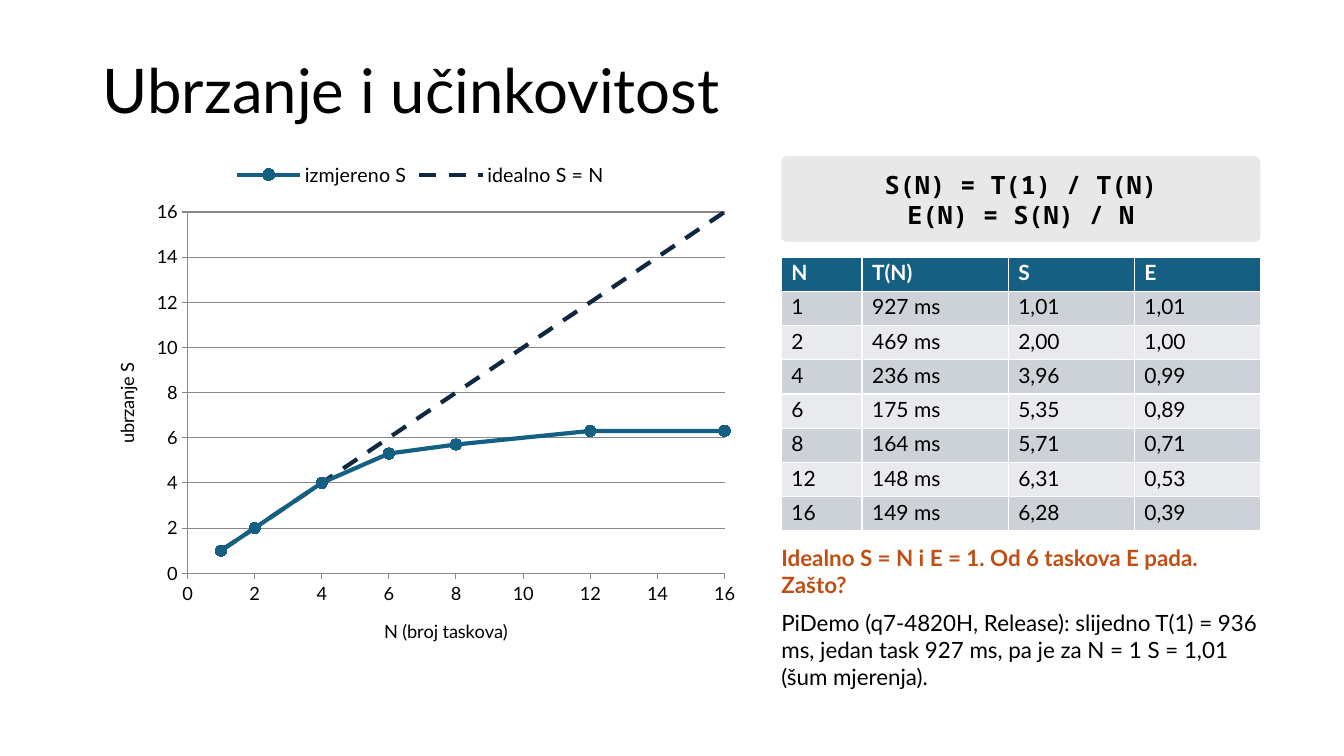
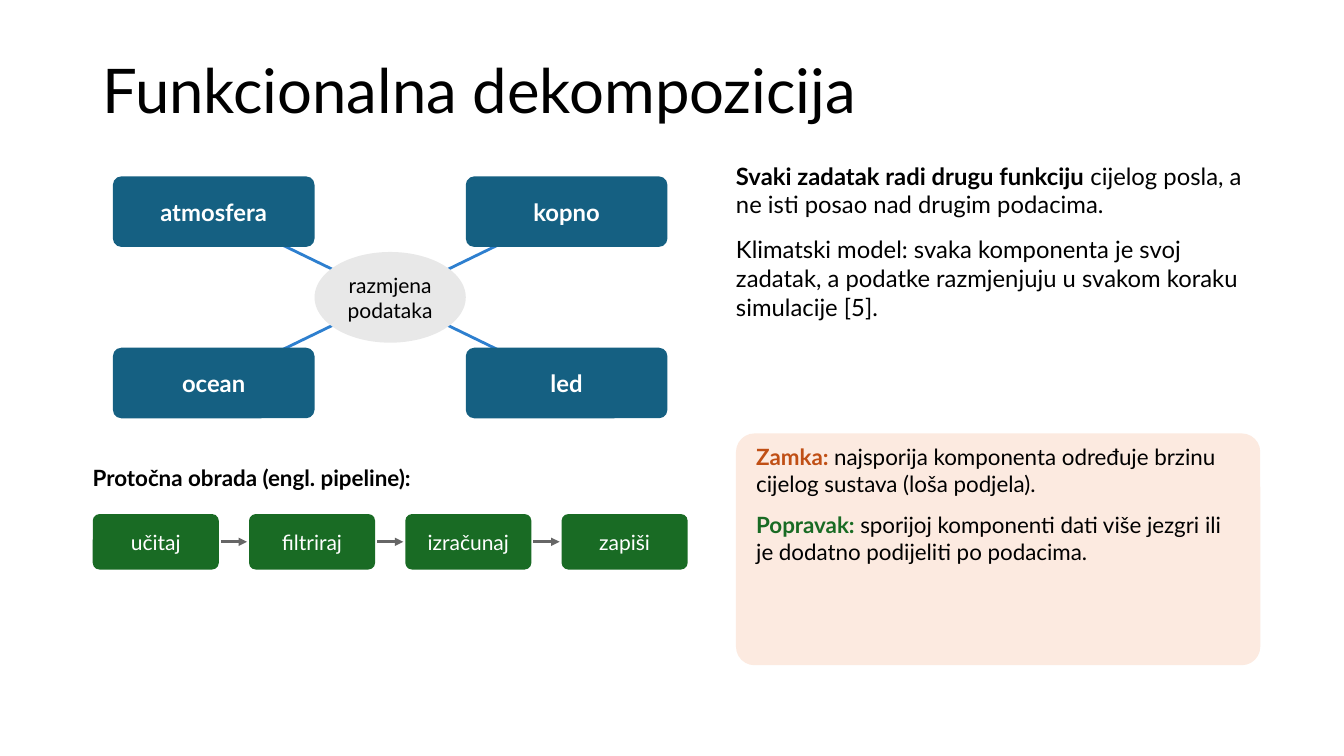
from lxml import etree
from pptx import Presentation
from pptx import util as u
from pptx.chart.data import XyChartData
from pptx.dml.color import RGBColor
from pptx.enum import chart as ch, dml, shapes, text
from pptx.oxml.ns import qn

SANS, MONO = "Lato", "Noto Sans Mono"
BLACK, WHITE, GREY = "000000", "FFFFFF", "E8E8E8"
TEAL, NAVY, GREEN, RUST = "156082", "0E2841", "196B24", "C04F15"
BLUE, PEACH, ARROW, GRID = "2D7FCF", "FCEAE0", "666666", "878787"
BANDS = ("CCD2D8", "E8EAED")
ROUND = shapes.MSO_SHAPE.ROUNDED_RECTANGLE
OVAL = shapes.MSO_SHAPE.OVAL

TITLES = ("Ubrzanje i učinkovitost", "Funkcionalna dekompozicija")

SPEED = [(1, 1), (2, 2), (4, 4), (6, 5.3), (8, 5.7), (12, 6.3), (16, 6.3)]
IDEAL = [(1, 1), (16, 16)]
SERIES = [("izmjereno S", SPEED, TEAL), ("idealno S = N", IDEAL, NAVY)]
AXES = ("N (broj taskova)", "ubrzanje S")
RULES = ["S(N) = T(1) / T(N)", "E(N) = S(N) / N"]
WIDTHS = (0.8, 1.45, 1.25, 1.25)
ROWS = [
    ("N", "T(N)", "S", "E"),
    ("1", "927 ms", "1,01", "1,01"),
    ("2", "469 ms", "2,00", "1,00"),
    ("4", "236 ms", "3,96", "0,99"),
    ("6", "175 ms", "5,35", "0,89"),
    ("8", "164 ms", "5,71", "0,71"),
    ("12", "148 ms", "6,31", "0,53"),
    ("16", "149 ms", "6,28", "0,39"),
]
NOTES = [
    [("Idealno S = N i E = 1. Od 6 taskova E pada. Zašto?", RUST, True)],
    "PiDemo (q7-4820H, Release): slijedno T(1) = 936 ms, jedan task 927 ms, "
    "pa je za N = 1 S = 1,01 (šum mjerenja).",
]

PARTS = [["atmosfera", "kopno"], ["ocean", "led"]]
HUB = "razmjena podataka"
FLOW = "Protočna obrada (engl. pipeline):"
STEPS = ["učitaj", "filtriraj", "izračunaj", "zapiši"]
IDEAS = [
    [("Svaki zadatak radi drugu funkciju", BLACK, True),
     (" cijelog posla, a ne isti posao nad drugim podacima.", BLACK, False)],
    "Klimatski model: svaka komponenta je svoj zadatak, a podatke "
    "razmjenjuju u svakom koraku simulacije [5].",
]
TRAPS = [
    [("Zamka: ", RUST, True),
     ("najsporija komponenta određuje brzinu cijelog sustava (loša podjela).",
      BLACK, False)],
    [("Popravak: ", GREEN, True),
     ("sporijoj komponenti dati više jezgri ili je dodatno podijeliti po "
      "podacima.", BLACK, False)],
]


def rgb(code):
    return RGBColor.from_string(code)


def box(*sides):
    return [u.Inches(side) for side in sides]


def style(font, size, color=BLACK, bold=False, name=SANS):
    font.name, font.size, font.bold = name, u.Pt(size), bold
    font.color.rgb = rgb(color)


def paint(shape, color):
    shape.fill.solid()
    shape.fill.fore_color.rgb = rgb(color)


def write(frame, paras, size, color=BLACK, bold=False, name=SANS,
          pad=(0, 0), after=0, align=None):
    frame.word_wrap = True
    frame.margin_left = frame.margin_right = u.Inches(pad[0])
    frame.margin_top = frame.margin_bottom = u.Inches(pad[1])
    for i, para in enumerate(paras):
        p = frame.add_paragraph() if i else frame.paragraphs[0]
        p.alignment, p.space_after = align, u.Pt(after)
        style(p.font, size, color, bold, name)
        if isinstance(para, str):
            p.add_run().text = para
            continue
        for words, tint, heavy in para:
            run = p.add_run()
            run.text = words
            run.font.bold = heavy
            run.font.color.rgb = rgb(tint)


def label(slide, at, paras, size, **look):
    frame = slide.shapes.add_textbox(*box(*at)).text_frame
    write(frame, paras, size, **look)
    return frame


def block(slide, at, back, paras=(), size=15, kind=ROUND, bend=0.12,
          pad=(0.05, 0.02), **look):
    shape = slide.shapes.add_shape(kind, *box(*at))
    shape.shadow.inherit = False
    paint(shape, back)
    shape.line.fill.background()
    if kind == ROUND:
        shape.adjustments[0] = bend
    if paras:
        shape.text_frame.vertical_anchor = text.MSO_ANCHOR.MIDDLE
        write(shape.text_frame, paras, size, pad=pad,
              align=text.PP_ALIGN.CENTER, **look)


def link(slide, start, end, color, arrow=False):
    line = slide.shapes.add_connector(
        shapes.MSO_CONNECTOR.STRAIGHT, *box(*start, *end))
    line.line.color.rgb = rgb(color)
    line.line.width = u.Pt(2)
    if arrow:
        edge = line._element.spPr.find(qn("a:ln"))
        etree.SubElement(edge, qn("a:tailEnd")).set("type", "triangle")
    etree.SubElement(line._element.spPr, qn("a:effectLst"))


def page(deck, title):
    slide = deck.slides.add_slide(deck.slide_layouts[6])
    frame = label(slide, (0.92, 0.4, 11.5, 1.06), [title], 44,
                  pad=(0.1, 0.05))
    frame.vertical_anchor = text.MSO_ANCHOR.MIDDLE
    frame.paragraphs[0].line_spacing = 0.9
    return slide


def plot(slide, at):
    data = XyChartData()
    for name, points, _ in SERIES:
        row = data.add_series(name)
        for x, y in points:
            row.add_data_point(x, y)
    chart = slide.shapes.add_chart(
        ch.XL_CHART_TYPE.XY_SCATTER_LINES, *box(*at), data).chart
    style(chart.font, 18)
    chart.has_title = False
    chart.has_legend = True
    chart.legend.position = ch.XL_LEGEND_POSITION.TOP
    chart.legend.include_in_layout = False
    style(chart.legend.font, 14)
    chart.plots[0].vary_by_categories = False
    for axis, name in zip((chart.category_axis, chart.value_axis), AXES):
        axis.minimum_scale, axis.maximum_scale, axis.major_unit = 0, 16, 2
        axis.major_tick_mark = ch.XL_TICK_MARK.OUTSIDE
        axis.minor_tick_mark = ch.XL_TICK_MARK.NONE
        axis.tick_labels.number_format = "General"
        axis.tick_labels.number_format_is_linked = False
        axis.format.line.color.rgb = rgb(GRID)
        style(axis.tick_labels.font, 13)
        p = axis.axis_title.text_frame.paragraphs[0]
        style(p.font, 13)
        p.add_run().text = name
    chart.category_axis.has_major_gridlines = False
    chart.value_axis.has_major_gridlines = True
    chart.value_axis.major_gridlines.format.line.color.rgb = rgb(GRID)
    for row, (_, _, color) in zip(chart.plots[0].series, SERIES):
        row.smooth = False
        row.format.line.color.rgb = rgb(color)
        row.format.line.width = u.Pt(3)
    real, ideal = chart.plots[0].series
    real.marker.style = ch.XL_MARKER_STYLE.CIRCLE
    real.marker.size = 8
    paint(real.marker.format, TEAL)
    real.marker.format.line.color.rgb = rgb(TEAL)
    ideal.marker.style = ch.XL_MARKER_STYLE.NONE
    ideal.format.line.dash_style = dml.MSO_LINE.DASH


def grid(slide, left, top, high):
    table = slide.shapes.add_table(
        len(ROWS), len(WIDTHS),
        *box(left, top, sum(WIDTHS), high * len(ROWS))).table
    for col, wide in zip(table.columns, WIDTHS):
        col.width = u.Inches(wide)
    for r, row in enumerate(ROWS):
        table.rows[r].height = u.Inches(high)
        for c, word in enumerate(row):
            cell = table.cell(r, c)
            paint(cell, BANDS[(r - 1) % 2] if r else TEAL)
            cell.margin_top = cell.margin_bottom = u.Inches(0.03)
            p = cell.text_frame.paragraphs[0]
            style(p.font, 15, BLACK if r else WHITE, not r)
            p.add_run().text = word


def speedup(deck):
    slide = page(deck, TITLES[0])
    plot(slide, (0.92, 1.5, 6.5, 5.1))
    block(slide, (7.75, 1.55, 4.75, 0.85), GREY, RULES, 18, bend=0.06,
          pad=(0.15, 0.05), bold=True, name=MONO)
    grid(slide, 7.75, 2.55, 0.34)
    label(slide, (7.75, 5.4, 4.75, 1.5), NOTES, 16, after=8)


def split(deck):
    slide = page(deck, TITLES[1])
    wide, high, mid = 2, 0.7, (3.87, 2.95)
    cells = [(name, 1.12 + 3.5 * c, 1.75 + 1.7 * r)
             for r, row in enumerate(PARTS) for c, name in enumerate(row)]
    for _, x, y in cells:
        link(slide, (x + wide / 2, y + high / 2), mid, BLUE)
    block(slide, (mid[0] - 0.75, mid[1] - 0.45, 1.5, 0.9), GREY, [HUB],
          kind=OVAL)
    for name, x, y in cells:
        block(slide, (x, y, wide, high), TEAL, [name], 17, color=WHITE,
              bold=True)

    label(slide, (0.92, 4.6, 6.2, 0.4), [FLOW], 16, bold=True)
    step, gap, top, tall = 1.25, 0.3, 5.1, 0.55
    for i, name in enumerate(STEPS):
        x, y = 0.92 + i * (step + gap), top + tall / 2
        if i:
            link(slide, (x - gap + 0.02, y), (x - 0.02, y), ARROW, True)
        block(slide, (x, top, step, tall), GREEN, [name], color=WHITE)

    label(slide, (7.3, 1.6, 5.2, 2.6), IDEAS, 17, after=12)
    block(slide, (7.3, 4.3, 5.2, 2.3), PEACH, bend=0.08)
    label(slide, (7.5, 4.4, 4.8, 2.1), TRAPS, 16, after=10)


def main():
    deck = Presentation()
    deck.slide_width, deck.slide_height = box(13.33, 7.5)
    speedup(deck)
    split(deck)
    deck.save("out.pptx")


if __name__ == "__main__":
    main()
